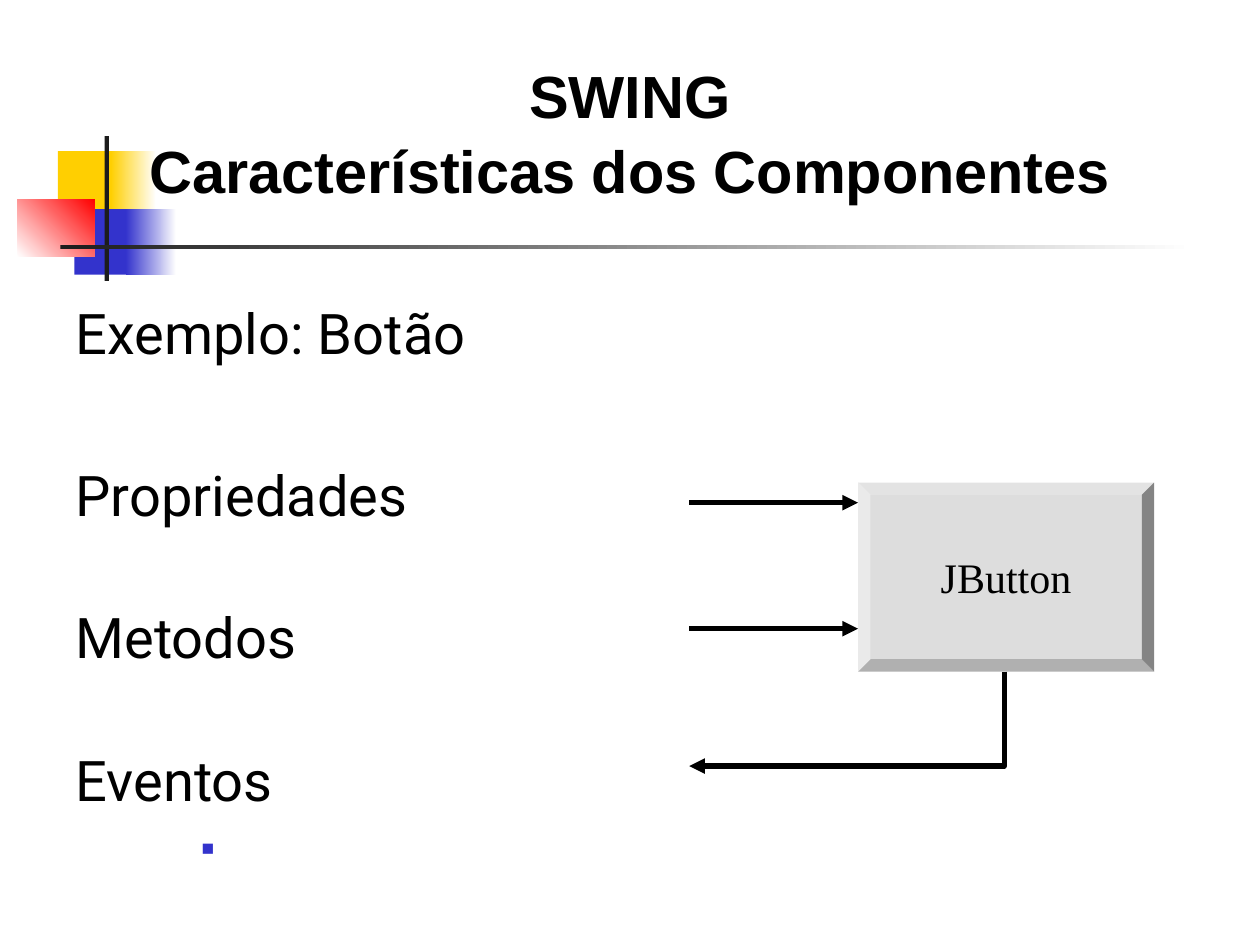
from dataclasses import dataclass
from typing import Optional

from lxml import etree
from pptx import Presentation
from pptx.dml.color import RGBColor
from pptx.enum.shapes import MSO_CONNECTOR, MSO_SHAPE
from pptx.enum.text import MSO_ANCHOR, MSO_AUTO_SIZE, PP_ALIGN
from pptx.oxml.ns import qn
from pptx.util import Inches, Pt

RECTANGLE = MSO_SHAPE.RECTANGLE
BEVEL = MSO_SHAPE.BEVEL
STRAIGHT = MSO_CONNECTOR.STRAIGHT
CENTER = PP_ALIGN.CENTER
TOP, MIDDLE, BOTTOM = MSO_ANCHOR.TOP, MSO_ANCHOR.MIDDLE, MSO_ANCHOR.BOTTOM
NO_AUTOFIT = MSO_AUTO_SIZE.NONE

# The slide is a grid of 100 columns by 75 rows with square cells
COLUMNS, ROWS = 100, 75
CELL = Inches(10) / COLUMNS


@dataclass(frozen=True)
class Theme:
    black: str = "000000"
    white: str = "FFFFFF"
    yellow: str = "FFCF01"
    blue: str = "3333CC"
    red: str = "FF0000"
    charcoal: str = "1C1C1C"
    button: str = "DDDDDD"
    title_font: str = "Arial"
    body_font: str = "Roboto"
    button_font: str = "Times New Roman"
    title_size: int = 34
    body_size: int = 32
    small_size: int = 24
    arrow_width: int = 3


THEME = Theme()


@dataclass(frozen=True)
class Box:
    column: float
    row: float
    columns: float
    rows: float

    def lengths(self) -> tuple:
        return tuple(grid(n) for n in (self.column, self.row, self.columns, self.rows))


@dataclass(frozen=True)
class Block:
    box: Box
    color: str
    fade_to: Optional[str] = None
    angle: int = 0


@dataclass(frozen=True)
class Item:
    text: str
    space_before: int


ORNAMENT = (
    Block(Box(4.6, 12, 4.8, 5.2), THEME.yellow),
    Block(Box(8.8, 12, 3.6, 5.2), THEME.yellow, THEME.white),
    Block(Box(5.9, 16.6, 4.6, 5.2), THEME.blue),
    Block(Box(10, 16.6, 4, 5.2), THEME.blue, THEME.white),
    Block(Box(1.4, 15.8, 6.1, 4.6), THEME.white, THEME.red, 45),
    Block(Box(8.3, 10.8, 0.35, 11.5), THEME.charcoal),
    Block(Box(4.8, 19.45, 90, 0.35), THEME.charcoal, THEME.white),
)
TITLE_LINES = (Item("SWING", 0), Item("Características dos Componentes", 2))
ITEMS = (
    Item("Exemplo: Botão", 8),
    Item("Propriedades", 54),
    Item("Metodos", 43),
    Item("Eventos", 43),
)
BUTTON = Box(68.1, 38.3, 23.5, 15)
ARROW_START = 54.7
INPUT_ROWS = (39.9, 49.9)
OUTPUT_COLUMN, OUTPUT_ROW = 79.7, 60.8


def grid(cells: float) -> int:
    return round(cells * CELL)


def rgb(color: str) -> RGBColor:
    return RGBColor.from_string(color)


def place(shape, box: Box) -> None:
    shape.left, shape.top, shape.width, shape.height = box.lengths()


def add_run(paragraph, text: str, font: str, size: int, bold: bool = False) -> None:
    run = paragraph.add_run()
    run.text = text
    run.font.name = font
    run.font.size = Pt(size)
    run.font.bold = bold
    run.font.color.rgb = rgb(THEME.black)


def set_bullet(paragraph, margin: float, indent: float, symbol: str = "") -> None:
    properties = paragraph._p.get_or_add_pPr()
    properties.set("marL", str(Inches(margin)))
    properties.set("indent", str(Inches(indent)))
    if not symbol:
        etree.SubElement(properties, qn("a:buNone"))
        return
    color = etree.SubElement(properties, qn("a:buClr"))
    etree.SubElement(color, qn("a:srgbClr"), val=THEME.blue)
    etree.SubElement(properties, qn("a:buSzPct"), val="50000")
    etree.SubElement(properties, qn("a:buChar"), char=symbol)


def style_arrow(shape) -> None:
    shape.line.color.rgb = rgb(THEME.black)
    shape.line.width = Pt(THEME.arrow_width)
    etree.SubElement(shape.line._get_or_add_ln(), qn("a:tailEnd"), type="triangle")


def add_block(slide, block: Block) -> None:
    shape = slide.shapes.add_shape(RECTANGLE, *block.box.lengths())
    shape.shadow.inherit = False
    shape.line.fill.background()
    if block.fade_to is None:
        shape.fill.solid()
        shape.fill.fore_color.rgb = rgb(block.color)
        return
    shape.fill.gradient()
    shape.fill.gradient_angle = block.angle
    for stop, color in zip(shape.fill.gradient_stops, (block.color, block.fade_to)):
        stop.color.rgb = rgb(color)


def prepare_frame(shape, box: Box, anchor):
    place(shape, box)
    frame = shape.text_frame
    frame.word_wrap = True
    frame.auto_size = NO_AUTOFIT
    frame.vertical_anchor = anchor
    return frame


def next_paragraph(frame, index: int, space_before: int):
    paragraph = frame.add_paragraph() if index else frame.paragraphs[0]
    paragraph.space_before = Pt(space_before)
    return paragraph


def fill_title(slide) -> None:
    frame = prepare_frame(slide.shapes.title, Box(0, 4.4, COLUMNS, 12.4), BOTTOM)
    for index, line in enumerate(TITLE_LINES):
        paragraph = next_paragraph(frame, index, line.space_before)
        paragraph.alignment = CENTER
        add_run(paragraph, line.text, THEME.title_font, THEME.title_size, True)


def fill_body(slide) -> None:
    frame = prepare_frame(slide.placeholders[1], Box(5, 23.2, 95, 51.8), TOP)
    for index, item in enumerate(ITEMS):
        paragraph = next_paragraph(frame, index, item.space_before)
        set_bullet(paragraph, 0.38, -0.38)
        add_run(paragraph, item.text, THEME.body_font, THEME.body_size)
    # Closing second-level bullet; it needs a character to be drawn
    paragraph = next_paragraph(frame, len(ITEMS), 6)
    paragraph.level = 2
    set_bullet(paragraph, 1.25, -0.25, "■")
    add_run(paragraph, " ", THEME.body_font, THEME.small_size)


def add_button(slide) -> None:
    shape = slide.shapes.add_shape(BEVEL, *BUTTON.lengths())
    shape.adjustments[0] = 0.065
    shape.shadow.inherit = False
    shape.fill.solid()
    shape.fill.fore_color.rgb = rgb(THEME.button)
    shape.line.fill.background()
    frame = shape.text_frame
    frame.word_wrap = False
    frame.vertical_anchor = MIDDLE
    paragraph = frame.paragraphs[0]
    paragraph.alignment = CENTER
    add_run(paragraph, "JButton", THEME.button_font, THEME.small_size)


def add_input_arrow(slide, row: float) -> None:
    connector = slide.shapes.add_connector(
        STRAIGHT, grid(ARROW_START), grid(row), grid(BUTTON.column), grid(row))
    style_arrow(connector)
    etree.SubElement(connector._element.spPr, qn("a:effectLst"))


def add_output_arrow(slide) -> None:
    builder = slide.shapes.build_freeform(
        grid(OUTPUT_COLUMN), grid(BUTTON.row + BUTTON.rows))
    corners = [(grid(column), grid(OUTPUT_ROW)) for column in (OUTPUT_COLUMN, ARROW_START)]
    builder.add_line_segments(corners, close=False)
    shape = builder.convert_to_shape()
    shape.shadow.inherit = False
    shape.fill.background()
    style_arrow(shape)


def main() -> None:
    presentation = Presentation()
    presentation.slide_width, presentation.slide_height = grid(COLUMNS), grid(ROWS)
    slide = presentation.slides.add_slide(presentation.slide_layouts[1])
    # Ornament goes behind the text placeholders
    placeholders = [shape._element for shape in slide.placeholders]
    for block in ORNAMENT:
        add_block(slide, block)
    for element in placeholders:
        slide.shapes._spTree.append(element)
    # Text
    fill_title(slide)
    fill_body(slide)
    # Button diagram
    add_button(slide)
    for row in INPUT_ROWS:
        add_input_arrow(slide, row)
    add_output_arrow(slide)
    presentation.save("out.pptx")


if __name__ == "__main__":
    main()
